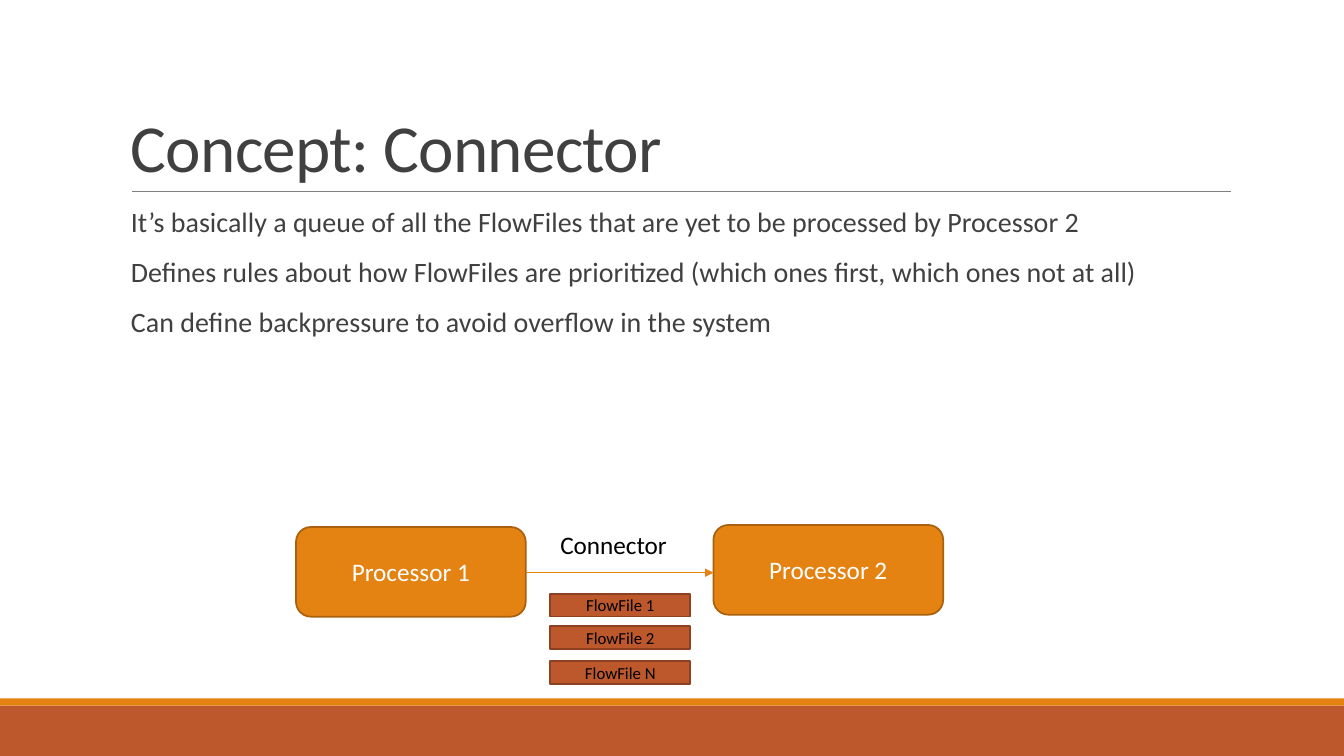
"""Build the slide that explains the connector between two processors."""
from lxml import etree
from pptx import Presentation
from pptx import util as u
from pptx.dml.color import RGBColor
from pptx.enum import shapes, text
from pptx.oxml import ns

TITLE = "Concept: Connector"
POINTS = [
    "It’s basically a queue of all the FlowFiles that are yet to be processed by Processor 2",
    "Defines rules about how FlowFiles are prioritized (which ones first, which ones not at all)",
    "Can define backpressure to avoid overflow in the system",
]
PROCESSORS = [("Processor 1", 7.46, 13.28), ("Processor 2", 17.98, 13.23)]
FLOW_FILES = [("FlowFile 1", 14.96), ("FlowFile 2", 15.78), ("FlowFile N", 16.66)]
ARROW_LABEL = "Connector"

FONT = "Calibri"
ORANGE = RGBColor(0xE4, 0x83, 0x12)
ORANGE_EDGE = RGBColor(0xA9, 0x61, 0x0D)
RUST = RGBColor(0xBD, 0x58, 0x2C)
RUST_EDGE = RGBColor(0x8C, 0x41, 0x21)
CHARCOAL = RGBColor(0x40, 0x40, 0x40)
GRAY = RGBColor(0x80, 0x80, 0x80)
WHITE = RGBColor(0xFF, 0xFF, 0xFF)
BLACK = RGBColor(0, 0, 0)

WIDTH, HEIGHT = 33.87, 19.05
BAND_TOP, STRIP_HEIGHT = 17.78, 0.18
MARGIN, CONTENT_WIDTH = 3.05, 27.94
PROCESSOR_WIDTH, PROCESSOR_HEIGHT = 5.79, 2.26
QUEUE_LEFT, QUEUE_WIDTH, QUEUE_HEIGHT = 13.87, 3.53, 0.58
ARROW_Y = 14.43


def write(shape, lines, size, color, align=text.PP_ALIGN.LEFT, anchor=text.MSO_ANCHOR.TOP,
          line_spacing=None, before=0, after=0, tracking=None, indent=None):
    """Write lines as formatted paragraphs into a shape."""
    frame = shape.text_frame
    frame.word_wrap = True
    frame.vertical_anchor = anchor
    for index, line in enumerate(lines):
        para = frame.add_paragraph() if index else frame.paragraphs[0]
        para.alignment = align
        para.line_spacing = line_spacing
        para.space_before, para.space_after = u.Pt(before), u.Pt(after)
        if indent:
            para._p.get_or_add_pPr().set("marL", str(u.Cm(indent)))
        span = para.add_run()
        span.text = line
        span.font.name, span.font.size, span.font.color.rgb = FONT, u.Pt(size), color
        if tracking:
            span.font._element.set("spc", str(tracking))


def add_box(slide, kind, left, top, width, height, fill, edge=None):
    """Add a flat filled shape, outlined when an edge colour is given."""
    box = slide.shapes.add_shape(kind, u.Cm(left), u.Cm(top), u.Cm(width), u.Cm(height))
    box.shadow.inherit = False
    box.fill.solid()
    box.fill.fore_color.rgb = fill
    if edge is None:
        box.line.fill.background()
    else:
        box.line.color.rgb, box.line.width = edge, u.Pt(1.25)
    return box


def add_text(slide, left, top, width, height):
    """Add an empty text box."""
    return slide.shapes.add_textbox(u.Cm(left), u.Cm(top), u.Cm(width), u.Cm(height))


def add_line(slide, start, end, y, color, weight, arrow=False):
    """Add a horizontal line, with an arrowhead on request."""
    line = slide.shapes.add_connector(
        shapes.MSO_CONNECTOR.STRAIGHT, u.Cm(start), u.Cm(y), u.Cm(end), u.Cm(y))
    line.line.color.rgb, line.line.width = color, u.Pt(weight)
    if arrow:
        etree.SubElement(line.line._get_or_add_ln(), ns.qn("a:tailEnd"), type="triangle")
    etree.SubElement(line._element.spPr, ns.qn("a:effectLst"))


def main():
    """Lay out the slide and save it."""
    deck = Presentation()
    deck.slide_width, deck.slide_height = u.Cm(WIDTH), u.Cm(HEIGHT)
    page = deck.slides.add_slide(deck.slide_layouts[6])
    rectangle = shapes.MSO_SHAPE.RECTANGLE
    centred = {"align": text.PP_ALIGN.CENTER, "anchor": text.MSO_ANCHOR.MIDDLE}

    add_box(page, rectangle, 0, BAND_TOP, WIDTH, HEIGHT - BAND_TOP, RUST)
    add_box(page, rectangle, 0, BAND_TOP - STRIP_HEIGHT, WIDTH, STRIP_HEIGHT, ORANGE)
    add_line(page, 3.33, 31.01, 4.83, GRAY, 0.5)

    title = add_text(page, MARGIN, 0.79, CONTENT_WIDTH, 4.04)
    write(title, [TITLE], 48, CHARCOAL, anchor=text.MSO_ANCHOR.BOTTOM,
          line_spacing=0.85, tracking=-50)

    body = add_text(page, MARGIN, 5.13, CONTENT_WIDTH, 11.18)
    body.text_frame.margin_left = body.text_frame.margin_right = 0
    write(body, POINTS, 20, CHARCOAL, line_spacing=0.9, before=12, after=2, indent=0.25)

    for name, left, top in PROCESSORS:
        box = add_box(page, shapes.MSO_SHAPE.ROUNDED_RECTANGLE, left, top,
                      PROCESSOR_WIDTH, PROCESSOR_HEIGHT, ORANGE, ORANGE_EDGE)
        write(box, [name], 18, WHITE, **centred)

    first_left, second_left = (left for _, left, _ in PROCESSORS)
    add_line(page, first_left + PROCESSOR_WIDTH, second_left, ARROW_Y, ORANGE, 1, arrow=True)
    label = add_text(page, QUEUE_LEFT, 13.21, 3.89, 1.02)
    write(label, [ARROW_LABEL], 18, BLACK)

    for name, top in FLOW_FILES:
        box = add_box(page, rectangle, QUEUE_LEFT, top, QUEUE_WIDTH, QUEUE_HEIGHT,
                      RUST, RUST_EDGE)
        write(box, [name], 12, BLACK, **centred)

    deck.save("out.pptx")


if __name__ == "__main__":
    main()
